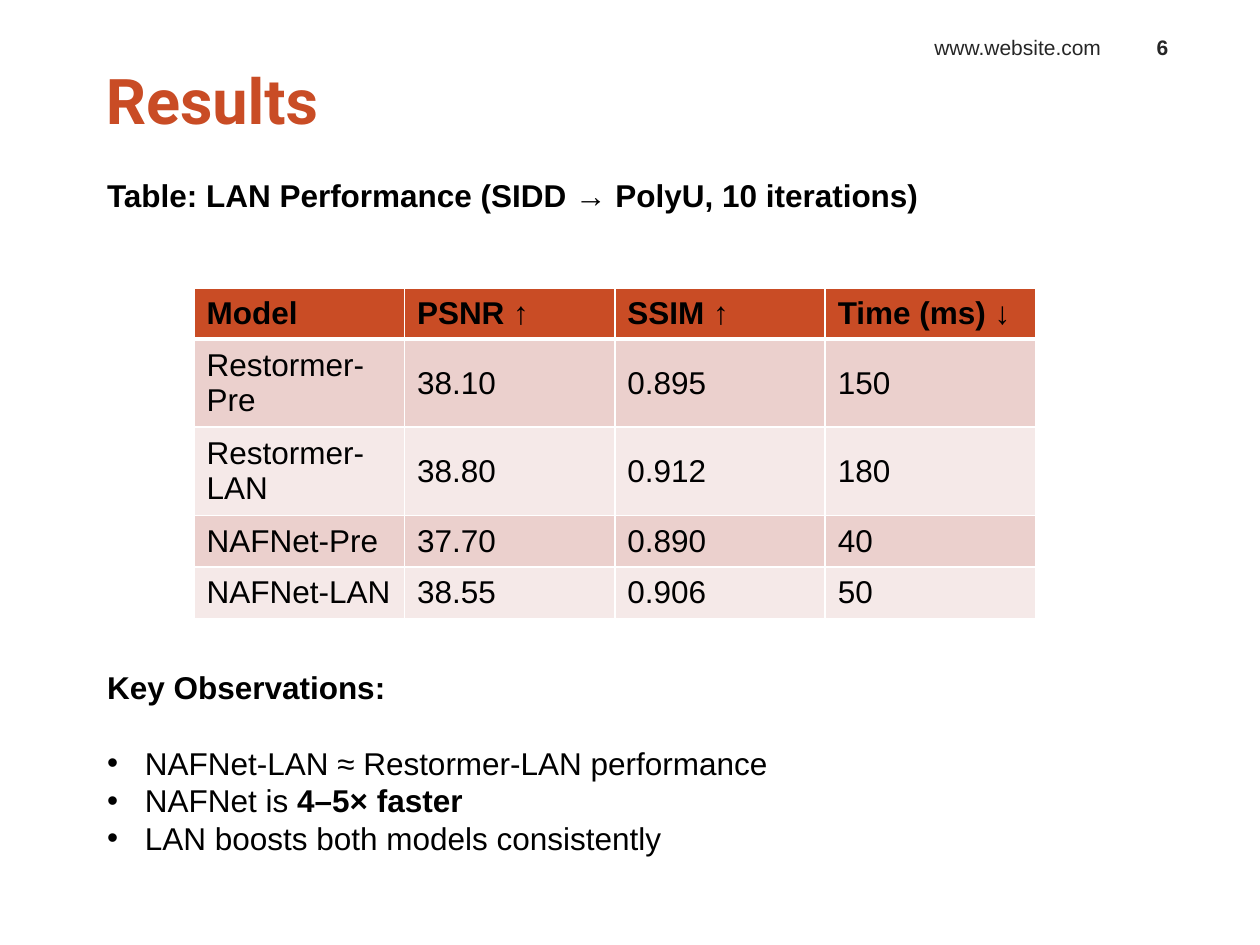
import pptx
import pptx.util
import pptx.dml.color
import pptx.enum.text
import pptx.oxml
import pptx.oxml.ns
from lxml import etree
from pptx.util import Inches

THEME = {
    "accent": "C94C25", "text": "000000", "muted": "262626", "line": "FFFFFF",
    "bands": ("EBD0CD", "F5E9E8"),
    "font": "Arial", "title_font": "Roboto",
    "title": 36, "body": 18, "header": 12, "leading": 21.5,
}

TITLE = "Results"
WEBSITE = "www.website.com"
PAGE_NUMBER = "6"
CAPTION = "Table: LAN Performance (SIDD → PolyU, 10 iterations)"
RESULTS = [
    ("Model", "PSNR ↑", "SSIM ↑", "Time (ms) ↓"),
    ("Restormer-Pre", "38.10", "0.895", "150"),
    ("Restormer-LAN", "38.80", "0.912", "180"),
    ("NAFNet-Pre", "37.70", "0.890", "40"),
    ("NAFNet-LAN", "38.55", "0.906", "50"),
]
OBSERVATIONS_HEADING = "Key Observations:"
# Each observation is a list of (text, bold) spans.
OBSERVATIONS = [
    [("NAFNet-LAN ≈ Restormer-LAN performance", False)],
    [("NAFNet is ", False), ("4–5× faster", True)],
    [("LAN boosts both models consistently", False)],
]

TEXT_LEFT = 0.85
COLUMN_WIDTH = 1.67
ROW_HEIGHTS = (0.4, 0.7, 0.7, 0.41, 0.41)
BULLET_INDENT = 0.3

ALIGN = pptx.enum.text.PP_ALIGN
ANCHOR = pptx.enum.text.MSO_ANCHOR


def rgb(color):
    return pptx.dml.color.RGBColor.from_string(color)


def add_span(para, text, size="body", color="text", bold=False, font="font"):
    span = para.add_run()
    span.text = text
    span.font.name = THEME[font]
    span.font.size = pptx.util.Pt(THEME[size])
    span.font.bold = bold
    span.font.color.rgb = rgb(THEME[color])


def set_up_box(box, left, top, width, height, anchor):
    """Move a text shape, drop its margins and return its first paragraph."""
    box.left, box.top, box.width, box.height = map(
        Inches, (left, top, width, height))
    frame = box.text_frame
    frame.word_wrap = True
    frame.auto_size = pptx.enum.text.MSO_AUTO_SIZE.NONE
    frame.vertical_anchor = anchor
    frame.margin_left = frame.margin_right = 0
    frame.margin_top = frame.margin_bottom = 0
    return frame.paragraphs[0]


def add_box(page, left, top, width, height, anchor):
    box = page.shapes.add_textbox(0, 0, 0, 0)
    return set_up_box(box, left, top, width, height, anchor)


def format_line(para, bullet=False, after=0):
    para.alignment = ALIGN.LEFT
    para.line_spacing = pptx.util.Pt(THEME["leading"])
    para.space_before = pptx.util.Pt(0)
    para.space_after = pptx.util.Pt(after)
    props = para._p.get_or_add_pPr()
    indent = Inches(BULLET_INDENT) if bullet else 0
    props.set("marL", str(indent))
    props.set("indent", str(-indent))
    if bullet:
        font = etree.SubElement(props, pptx.oxml.ns.qn("a:buFont"))
        font.set("typeface", THEME["font"])
        etree.SubElement(props, pptx.oxml.ns.qn("a:buChar")).set("char", "•")
    else:
        etree.SubElement(props, pptx.oxml.ns.qn("a:buNone"))


def set_borders(cell, **widths):
    """Draw cell borders; widths are points by side: L, R, T, B."""
    props = cell._tc.get_or_add_tcPr()
    for index, (side, points) in enumerate(widths.items()):
        props.insert(index, pptx.oxml.parse_xml(
            f'<a:ln{side} {pptx.oxml.ns.nsdecls("a")} w="{pptx.util.Pt(points)}">'
            f'<a:solidFill><a:srgbClr val="{THEME["line"]}"/></a:solidFill>'
            f'</a:ln{side}>'))


def add_results_table(page, left, top):
    columns = len(RESULTS[0])
    table = page.shapes.add_table(
        len(RESULTS), columns, Inches(left), Inches(top),
        Inches(COLUMN_WIDTH * columns), Inches(sum(ROW_HEIGHTS))).table
    for column in table.columns:
        column.width = Inches(COLUMN_WIDTH)
    for r, values in enumerate(RESULTS):
        table.rows[r].height = Inches(ROW_HEIGHTS[r])
        fill = THEME["bands"][(r - 1) % 2] if r else THEME["accent"]
        for c, value in enumerate(values):
            cell = table.cell(r, c)
            cell.vertical_anchor = ANCHOR.MIDDLE
            cell.fill.solid()
            cell.fill.fore_color.rgb = rgb(fill)
            add_span(cell.text_frame.paragraphs[0], value, bold=r == 0)
            set_borders(cell, L=1, R=1, T=3 if r == 1 else 1, B=3 if r == 0 else 1)


def main():
    deck = pptx.Presentation()
    deck.slide_width, deck.slide_height = Inches(10), Inches(7.5)
    page = deck.slides.add_slide(deck.slide_layouts[1])
    title, body = page.placeholders

    para = set_up_box(title, TEXT_LEFT - 0.01, 0.42, 4.74, 0.74, ANCHOR.MIDDLE)
    para.alignment = ALIGN.LEFT
    add_span(para, TITLE, "title", "accent", True, "title_font")

    para = add_box(page, 6.42, 0.19, 2.32, 0.28, ANCHOR.BOTTOM)
    para.alignment = ALIGN.RIGHT
    add_span(para, WEBSITE, "header", "muted")
    para = add_box(page, 8.95, 0.19, 0.55, 0.28, ANCHOR.BOTTOM)
    para.alignment = ALIGN.CENTER
    add_span(para, PAGE_NUMBER, "header", "muted", True)

    para = add_box(page, TEXT_LEFT, 1.4, 7, 0.35, ANCHOR.TOP)
    format_line(para)
    add_span(para, CAPTION, bold=True)

    add_results_table(page, 1.54, 2.29)

    para = set_up_box(body, TEXT_LEFT, 5.3, 7, 1.6, ANCHOR.TOP)
    format_line(para, after=22)
    add_span(para, OBSERVATIONS_HEADING, bold=True)
    for spans in OBSERVATIONS:
        para = body.text_frame.add_paragraph()
        format_line(para, bullet=True)
        for text, bold in spans:
            add_span(para, text, bold=bold)

    deck.save("out.pptx")


if __name__ == "__main__":
    main()
